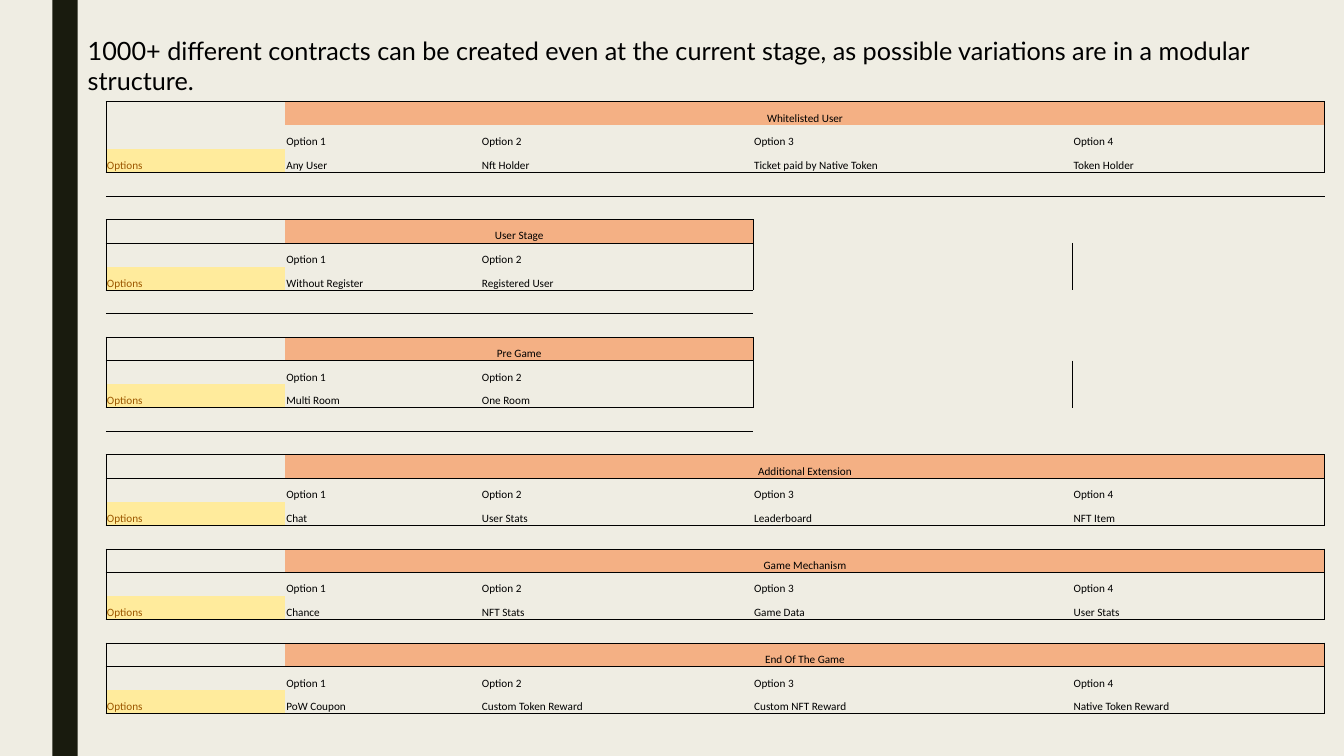
from collections import defaultdict

from lxml import etree
from pptx import Presentation
from pptx.dml.color import RGBColor
from pptx.enum.shapes import MSO_SHAPE
from pptx.enum.text import MSO_ANCHOR, MSO_AUTO_SIZE, PP_ALIGN
from pptx.oxml.ns import qn
from pptx.util import Inches, Pt

RECTANGLE = MSO_SHAPE.RECTANGLE
TOP, BOTTOM = MSO_ANCHOR.TOP, MSO_ANCHOR.BOTTOM
LEFT, CENTER = PP_ALIGN.LEFT, PP_ALIGN.CENTER
GROW = MSO_AUTO_SIZE.SHAPE_TO_FIT_TEXT

COLORS = {
    "background": "EFEDE3",
    "bar": "191B0E",
    "text": "000000",
    "border": "000000",
    "heading": "F4B084",
    "options": "FFEB9C",
    "options_text": "9C5700",
}
NO_STYLE = "{2D5ABB26-0587-4C30-8999-92F81FD0307C}"
COLUMN_WIDTHS = [1.78, 1.94, 2.7, 3.17, 2.5]
ROW_COUNT = 26
TABLE_HEIGHT = 6.08

# First row, heading and choices of each contract module
MODULES = [
    (0, "Whitelisted User",
     ["Any User", "Nft Holder", "Ticket paid by Native Token", "Token Holder"]),
    (5, "User Stage", ["Without Register", "Registered User"]),
    (10, "Pre Game", ["Multi Room", "One Room"]),
    (15, "Additional Extension",
     ["Chat", "User Stats", "Leaderboard", "NFT Item"]),
    (19, "Game Mechanism",
     ["Chance", "NFT Stats", "Game Data", "User Stats"]),
    (23, "End Of The Game",
     ["PoW Coupon", "Custom Token Reward", "Custom NFT Reward",
      "Native Token Reward"]),
]


def write_text(frame, text, size=8, font="Calibri", color="text", align=LEFT):
    paragraph = frame.paragraphs[0]
    paragraph.alignment = align
    run = paragraph.add_run()
    run.text = text
    run.font.size = Pt(size)
    run.font.name = font
    run.font.color.rgb = RGBColor.from_string(COLORS[color])


def add_border(cell, side):
    """Draw a thin line on one side (L, R, T or B) of a cell."""
    properties = cell._tc.get_or_add_tcPr()
    line = etree.SubElement(properties, qn(f"a:ln{side}"), w=str(Pt(0.5)))
    fill = etree.SubElement(line, qn("a:solidFill"))
    etree.SubElement(fill, qn("a:srgbClr"), val=COLORS["border"])


presentation = Presentation()
presentation.slide_width = Inches(13.33)
presentation.slide_height = Inches(7.5)
slide = presentation.slides.add_slide(presentation.slide_layouts[5])
slide.background.fill.solid()
slide.background.fill.fore_color.rgb = RGBColor.from_string(COLORS["background"])

# Side bar
bar = slide.shapes.add_shape(
    RECTANGLE, Inches(0.52), 0, Inches(0.25), presentation.slide_height)
bar.shadow.inherit = False
bar.fill.solid()
bar.fill.fore_color.rgb = RGBColor.from_string(COLORS["bar"])
bar.line.fill.background()

# Title
title = slide.shapes.title
title.left, title.top = Inches(0.77), Inches(0.3)
title.width, title.height = Inches(12.65), Inches(0.4)
title.text_frame.word_wrap = True
title.text_frame.auto_size = GROW
title.text_frame.vertical_anchor = TOP
write_text(
    title.text_frame,
    "1000+ different contracts can be created even at the current stage, "
    "as possible variations are in a modular structure.",
    size=18, font="Lato")

# Table grid
table_frame = slide.shapes.add_table(
    ROW_COUNT, len(COLUMN_WIDTHS), Inches(1.05), Inches(1.01),
    Inches(sum(COLUMN_WIDTHS)), Inches(TABLE_HEIGHT))
table = table_frame.table
table.first_row = False
table.horz_banding = False
table._tbl.tblPr.find(qn("a:tableStyleId")).text = NO_STYLE
for column, width in zip(table.columns, COLUMN_WIDTHS):
    column.width = Inches(width)
for row in table.rows:
    row.height = Inches(TABLE_HEIGHT / ROW_COUNT)

# Contents and outline of each module
contents = {}
borders = defaultdict(set)
for first, heading, choices in MODULES:
    last_row, last_column = first + 2, len(choices)
    table.cell(first, 1).merge(table.cell(first, last_column))
    contents[first, 1] = (heading, "heading")
    contents[last_row, 0] = ("Options", "options")
    for number, choice in enumerate(choices, start=1):
        contents[first + 1, number] = (f"Option {number}", None)
        contents[last_row, number] = (choice, None)

    for column in range(last_column + 1):
        borders[first, column].add("T")
        borders[first - 1, column].add("B")
        borders[last_row, column].add("B")
        borders[last_row + 1, column].add("T")
    for row in range(first, last_row + 1):
        borders[row, 0].add("L")
        borders[row, last_column].add("R")
        borders[row, last_column + 1].add("L")
    borders[first, 1].add("R")

# Cells
for row in range(ROW_COUNT):
    for column in range(len(COLUMN_WIDTHS)):
        cell = table.cell(row, column)
        cell.margin_left = cell.margin_right = cell.margin_top = Inches(0.01)
        cell.margin_bottom = 0
        cell.vertical_anchor = BOTTOM
        for side in "LRTB":
            if side in borders[row, column]:
                add_border(cell, side)

        text, kind = contents.get((row, column), ("", None))
        if kind:
            cell.fill.solid()
            cell.fill.fore_color.rgb = RGBColor.from_string(COLORS[kind])
        else:
            cell.fill.background()
        if text:
            write_text(
                cell.text_frame, text,
                color="options_text" if kind == "options" else "text",
                align=CENTER if kind == "heading" else LEFT)
        else:
            # Small type keeps empty rows from growing
            paragraph = cell.text_frame.paragraphs[0]
            etree.SubElement(paragraph._p, qn("a:endParaRPr"), sz="800")

presentation.save("out.pptx")
